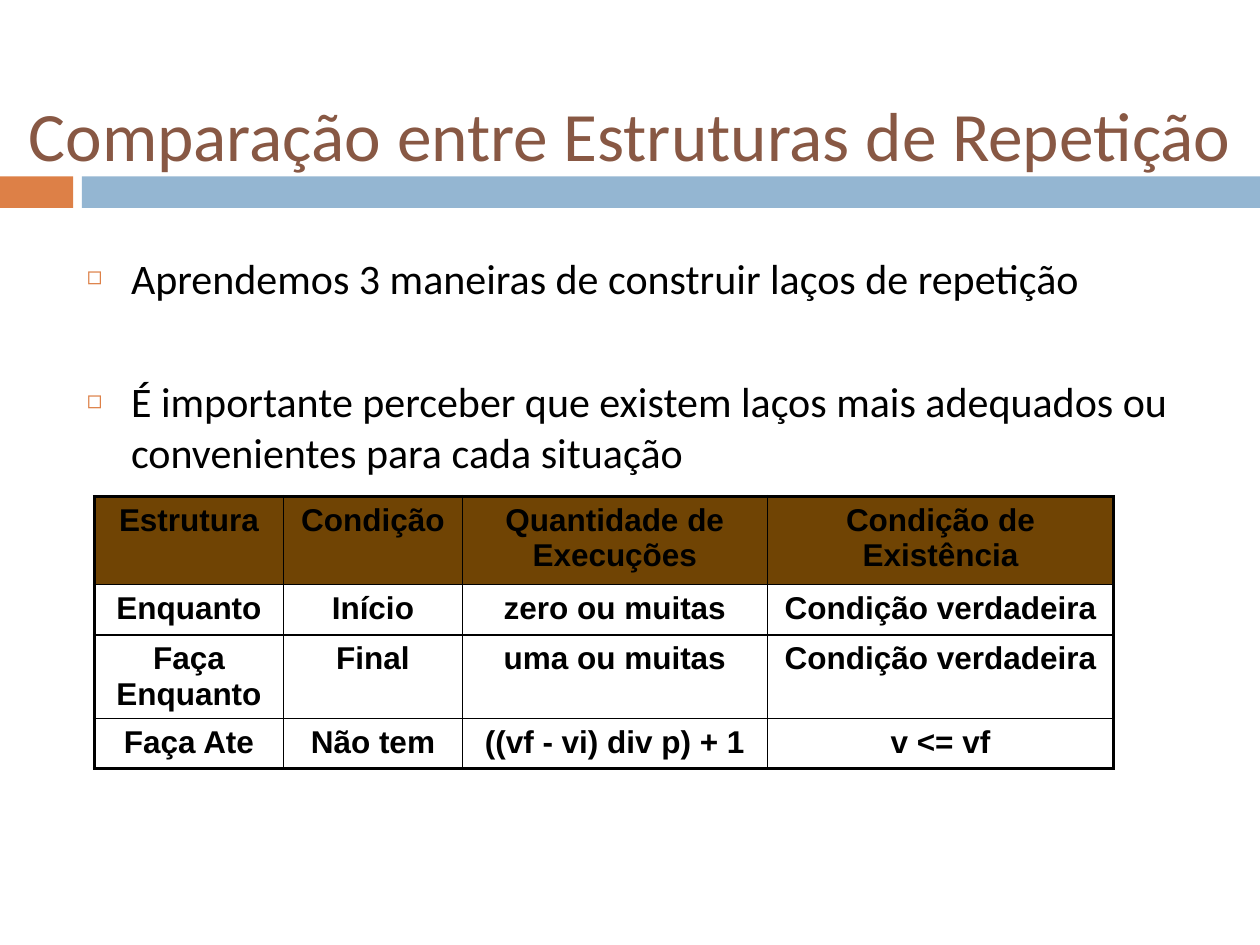
from dataclasses import dataclass

from lxml.etree import SubElement
from pptx import Presentation
from pptx.dml.color import RGBColor as RGB
from pptx.enum.shapes import MSO_SHAPE
from pptx.enum.text import MSO_ANCHOR, MSO_AUTO_SIZE, PP_ALIGN
from pptx.oxml.ns import qn
from pptx.util import Inches, Pt


@dataclass(frozen=True)
class Theme:
    title: str = "885844"
    text: str = "000000"
    accent: str = "DD8047"
    bar: str = "94B6D2"
    header: str = "704404"
    border: str = "000000"
    heading_font: str = "Calibri"
    table_font: str = "Arial"
    title_size: float = 39.6
    body_size: float = 24
    table_size: float = 18
    thin: float = 1
    thick: float = 2.25


THEME = Theme()

TITLE = "Comparação entre Estruturas de Repetição"
BULLETS = [
    "Aprendemos 3 maneiras de construir laços de repetição",
    "É importante perceber que existem laços mais adequados ou "
    "convenientes para cada situação",
]
ROWS = [
    ["Estrutura", "Condição", "Quantidade de Execuções", "Condição de Existência"],
    ["Enquanto", "Início", "zero ou muitas", "Condição verdadeira"],
    ["Faça Enquanto", "Final", "uma ou muitas", "Condição verdadeira"],
    ["Faça Ate", "Não tem", "((vf - vi) div p) + 1", "v <= vf"],
]
COL_WIDTHS = [1.5, 1.42, 2.42, 2.75]
ROW_HEIGHTS = [0.7, 0.4, 0.66, 0.4]


def write(p, text, *, size, font=THEME.heading_font, color=THEME.text,
          bold=False, align=PP_ALIGN.LEFT, before=0):
    p.alignment = align
    p.space_before = Pt(before)
    r = p.add_run()
    r.text = text
    r.font.name, r.font.size, r.font.bold = font, Pt(size), bold
    r.font.color.rgb = RGB.from_string(color)


def place(sp, left, top, width, height):
    sp.left, sp.top = Inches(left), Inches(top)
    sp.width, sp.height = Inches(width), Inches(height)


def add_bar(s, left, width, color):
    sp = s.shapes.add_shape(MSO_SHAPE.RECTANGLE, Inches(left), Inches(1.4),
                            Inches(width), Inches(0.25))
    sp.shadow.inherit = False
    sp.fill.solid()
    sp.fill.fore_color.rgb = RGB.from_string(color)
    sp.line.fill.background()


def add_title(s):
    sp = s.shapes.title
    place(sp, 0, 0.56, 10, 1)
    tf = sp.text_frame
    tf.auto_size = MSO_AUTO_SIZE.NONE
    tf.vertical_anchor = MSO_ANCHOR.MIDDLE
    write(tf.paragraphs[0], TITLE, size=THEME.title_size, color=THEME.title,
          align=PP_ALIGN.CENTER)


def set_bullet(p):
    pPr = p._p.get_or_add_pPr()
    pPr.set("marL", str(Inches(0.35)))
    pPr.set("indent", str(-Inches(0.35)))
    SubElement(SubElement(pPr, qn("a:buClr")), qn("a:srgbClr"), val=THEME.accent)
    SubElement(pPr, qn("a:buSzPct"), val="60000")
    SubElement(pPr, qn("a:buChar"), char="◻")


def add_bullets(s):
    sp = s.placeholders[1]
    place(sp, 0.59, 1.95, 8.91, 5)
    tf = sp.text_frame
    tf.auto_size = MSO_AUTO_SIZE.NONE
    for i, text in enumerate(BULLETS):
        p = tf.add_paragraph() if i else tf.paragraphs[0]
        set_bullet(p)
        write(p, text, size=THEME.body_size, before=42 if i else 0)


def set_borders(cell, **widths):
    """Draw the cell's sides; the keys must come in the order L, R, T, B."""
    tcPr = cell._tc.get_or_add_tcPr()
    for side, width in widths.items():
        ln = SubElement(tcPr, qn(f"a:ln{side}"), w=str(Pt(width)))
        SubElement(SubElement(ln, qn("a:solidFill")), qn("a:srgbClr"),
                   val=THEME.border)


def add_comparison_table(s):
    n_rows, n_cols = len(ROWS), len(COL_WIDTHS)
    table = s.shapes.add_table(
        n_rows, n_cols, Inches(0.75), Inches(3.94),
        Inches(sum(COL_WIDTHS)), Inches(sum(ROW_HEIGHTS))).table
    table.horz_banding = False
    for col, width in zip(table.columns, COL_WIDTHS):
        col.width = Inches(width)
    for row, height in zip(table.rows, ROW_HEIGHTS):
        row.height = Inches(height)

    def edge(is_outer):
        return THEME.thick if is_outer else THEME.thin

    for i, texts in enumerate(ROWS):
        for j, text in enumerate(texts):
            cell = table.cell(i, j)
            set_borders(cell, L=edge(j == 0), R=edge(j == n_cols - 1),
                        T=edge(i == 0), B=edge(i == n_rows - 1))
            if i == 0:
                cell.fill.solid()
                cell.fill.fore_color.rgb = RGB.from_string(THEME.header)
            else:
                cell.fill.background()
            write(cell.text_frame.paragraphs[0], text, size=THEME.table_size,
                  font=THEME.table_font, bold=True, align=PP_ALIGN.CENTER)


def main():
    prs = Presentation()
    prs.slide_width, prs.slide_height = Inches(10), Inches(7.5)
    s = prs.slides.add_slide(prs.slide_layouts[1])
    add_bar(s, 0, 0.58, THEME.accent)
    add_bar(s, 0.65, 9.35, THEME.bar)
    add_title(s)
    add_bullets(s)
    add_comparison_table(s)
    prs.save("out.pptx")


if __name__ == "__main__":
    main()
